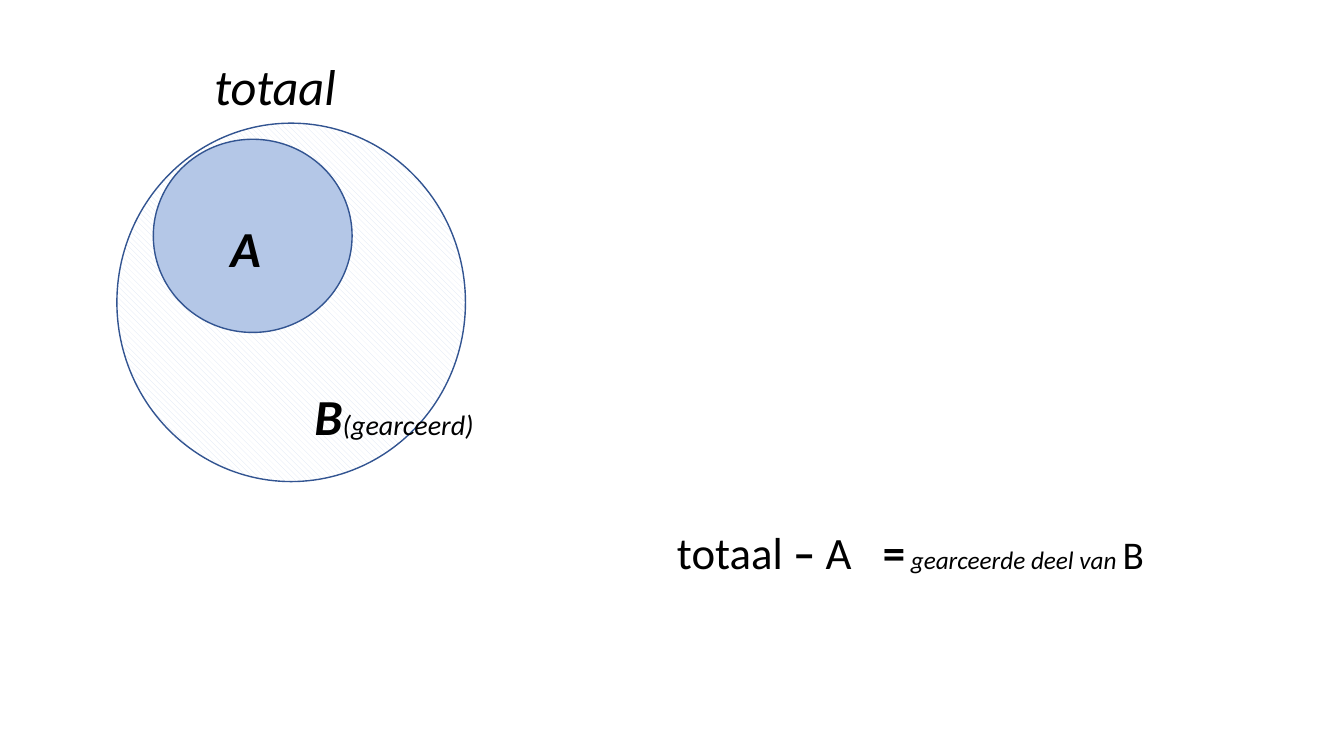
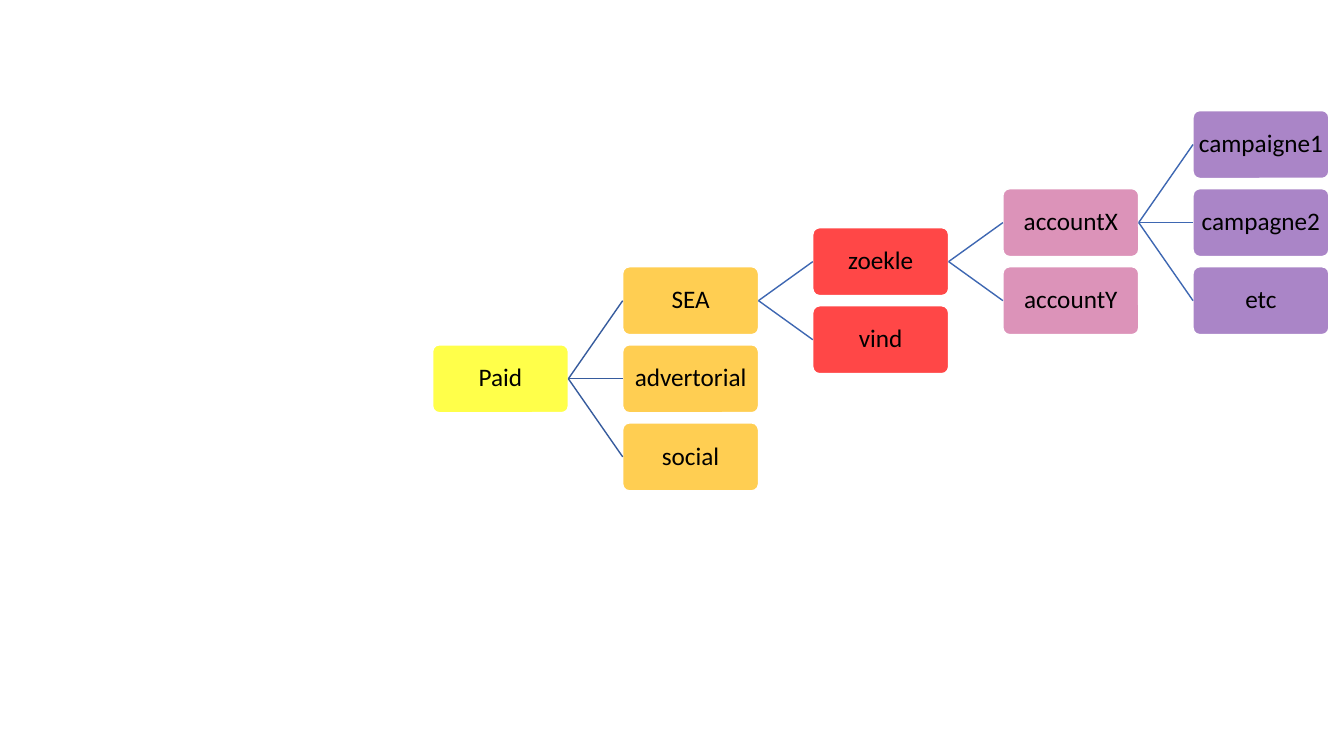
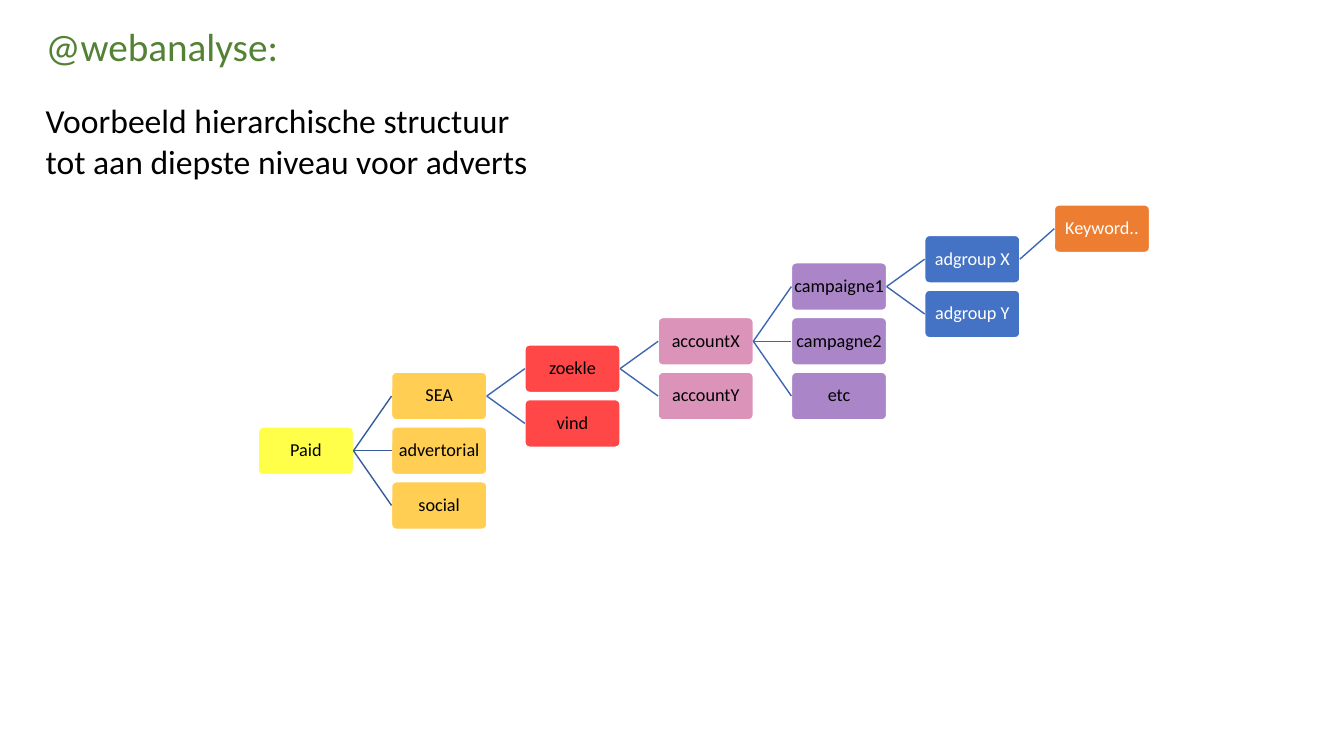
from dataclasses import dataclass

from lxml import etree
from pptx import Presentation
from pptx.dml.color import RGBColor
from pptx.enum import dml, shapes, text
from pptx.oxml import ns
from pptx.util import Pt

FONT = "Calibri"
COLORS = {
    "black": "000000",
    "white": "FFFFFF",
    "green": "548235",
    "hatch": "DAE3F3",
    "circle": "B4C7E7",
    "outline": "325491",
    "first_branch": "365B9D",
    "branch": "3E67B2",
    "yellow": "FFFF00",
    "amber": "FFB800",
    "red": "FF0000",
    "pink": "CC6198",
    "purple": "7030A0",
    "blue": "4472C4",
    "orange": "ED7D31",
}
# Fill, opacity in percent and text colour for each level of the tree
LEVELS = [
    ("yellow", 71, "black"),
    ("amber", 68, "black"),
    ("red", 72, "black"),
    ("pink", 68, "black"),
    ("purple", 59, "black"),
    ("blue", 100, "white"),
    ("orange", 100, "white"),
]


@dataclass
class Node:
    label: str
    children: tuple = ()
    shift: tuple = (0, 0)


def color(name):
    return RGBColor.from_string(COLORS[name])


def format_run(run, size, color_name="black", bold=False, italic=False):
    font = run.font
    font.name, font.size = FONT, Pt(size)
    font.bold, font.italic = bold, italic
    font.color.rgb = color(color_name)


def add_text(slide, left, top, width, height):
    """Add an empty wrapping text box and return its text frame."""
    box = slide.shapes.add_textbox(Pt(left), Pt(top), Pt(width), Pt(height))
    frame = box.text_frame
    frame.word_wrap = True
    frame.auto_size = text.MSO_AUTO_SIZE.SHAPE_TO_FIT_TEXT
    return frame


def add_line_of_runs(slide, box, runs):
    """Add one line of text; each run is its text followed by its format."""
    paragraph = add_text(slide, *box).paragraphs[0]
    for content, size, bold, italic in runs:
        run = paragraph.add_run()
        run.text = content
        format_run(run, size, bold=bold, italic=italic)


def add_outlined(parent, kind, left, top, width, height, line):
    shape = parent.add_shape(kind, Pt(left), Pt(top), Pt(width), Pt(height))
    shape.shadow.inherit = False
    shape.line.color.rgb = color(line)
    shape.line.width = Pt(1)
    return shape


def add_venn(slide, left, top, width, height):
    oval = shapes.MSO_SHAPE.OVAL
    total = add_outlined(slide.shapes, oval, left, top, width, height, "outline")
    total.fill.patterned()
    total.fill.pattern = dml.MSO_PATTERN.WIDE_DOWNWARD_DIAGONAL
    total.fill.fore_color.rgb = color("hatch")
    total.fill.back_color.rgb = color("white")
    part = add_outlined(slide.shapes, oval, left + 26, top + 11.5, 142, 138, "outline")
    part.fill.solid()
    part.fill.fore_color.rgb = color("circle")

    add_line_of_runs(slide, (left + 74, top + 63.5, 87, 51), [("A", 36, True, True)])
    add_line_of_runs(slide, (left + 134, top + 183.5, 185, 51),
                     [("B", 36, True, True), ("(gearceerd)", 20, False, True)])
    add_line_of_runs(slide, (left + 62.5, top - 52.5, 124, 51),
                     [("totaal", 36, False, True)])


def add_formula(slide, left, top, width, height):
    split = left + 147
    add_line_of_runs(slide, (left, top, split - left, height),
                     [("totaal ", 32, False, False), ("–", 32, True, False),
                      (" A", 32, False, False)])
    add_line_of_runs(slide, (split, top, left + width - split, height),
                     [("=", 32, True, False),
                      (" gearceerde deel van ", 18, False, True),
                      ("B", 28, False, False)])


def add_node(group, label, level, left, top, width, height, size):
    fill, opacity, text_color = LEVELS[level]
    shape = add_outlined(group, shapes.MSO_SHAPE.ROUNDED_RECTANGLE,
                         left, top, width, height, "white")
    shape.adjustments[0] = 0.1
    shape.fill.solid()
    shape.fill.fore_color.rgb = color(fill)
    if opacity < 100:
        rgb = shape.element.spPr.find(f"{ns.qn('a:solidFill')}/{ns.qn('a:srgbClr')}")
        etree.SubElement(rgb, ns.qn("a:alpha"), val=str(opacity * 1000))

    frame = shape.text_frame
    frame.word_wrap = False
    frame.vertical_anchor = text.MSO_ANCHOR.MIDDLE
    frame.margin_left = frame.margin_right = Pt(0.8)
    frame.margin_top = frame.margin_bottom = Pt(0.8)
    frame.text = label
    paragraph = frame.paragraphs[0]
    paragraph.alignment = text.PP_ALIGN.CENTER
    paragraph.line_spacing = 0.9
    format_run(paragraph.runs[0], size, text_color)
    return shape


def add_branch(group, parent, child, color_name):
    connector = group.add_connector(shapes.MSO_CONNECTOR.STRAIGHT, 0, 0, 0, 0)
    connector.begin_connect(parent, 3)
    connector.end_connect(child, 1)
    connector.line.color.rgb = color(color_name)
    connector.line.width = Pt(1)
    etree.SubElement(connector.element.spPr, ns.qn("a:effectLst"))


def add_tree(group, node, left, top, width, size, level=0):
    """Draw a node at the given place and centre its children to its right."""
    height = width / 2
    column_pitch, row_pitch = 1.4 * width, 1.15 * height
    shape = add_node(group, node.label, level, left, top, width, height, size)
    first = top - row_pitch * (len(node.children) - 1) / 2
    for row, child in enumerate(node.children):
        across, down = child.shift
        child_shape = add_tree(group, child, left + column_pitch + across,
                               first + row * row_pitch + down, width, size, level + 1)
        add_branch(group, shape, child_shape, "branch" if level else "first_branch")
    return shape


def paid_channels(ad_groups=()):
    campaigns = (Node("campaigne1", ad_groups), Node("campagne2"), Node("etc"))
    accounts = (Node("accountX", campaigns), Node("accountY"))
    engines = (Node("zoekle", accounts), Node("vind"))
    return Node("Paid", (Node("SEA", engines), Node("advertorial"), Node("social")))


def add_heading(slide, left, top, width, height):
    frame = add_text(slide, left, top, width, height)
    frame.text = ("@webanalyse:\n"
                  "Voorbeeld hierarchische structuur\vtot aan diepste niveau voor adverts")
    title, subtitle = frame.paragraphs
    subtitle.space_before = Pt(22)
    for paragraph, size, color_name in ((title, 28, "green"), (subtitle, 24, "black")):
        for run in paragraph.runs:
            format_run(run, size, color_name)


def main():
    presentation = Presentation()
    presentation.slide_width, presentation.slide_height = Pt(960), Pt(540)
    blank = presentation.slide_layouts[6]
    venn_slide, tree_slide, deep_slide = (
        presentation.slides.add_slide(blank) for _ in range(3))

    add_venn(venn_slide, 83.5, 88, 249, 256)
    add_formula(venn_slide, 476.5, 371, 370, 46)

    add_tree(tree_slide.shapes.add_group_shape().shapes, paid_channels(),
             309, 246.3, 97, 18)

    keyword = Node("Keyword..", shift=(-2.6, -21.8))
    ad_groups = (Node("adgroup X", (keyword,)), Node("adgroup Y"))
    add_tree(deep_slide.shapes.add_group_shape().shapes, paid_channels(ad_groups),
             184.5, 305, 68, 13)
    add_heading(deep_slide, 25.5, 12.5, 383, 121)

    presentation.save("out.pptx")


if __name__ == "__main__":
    main()
